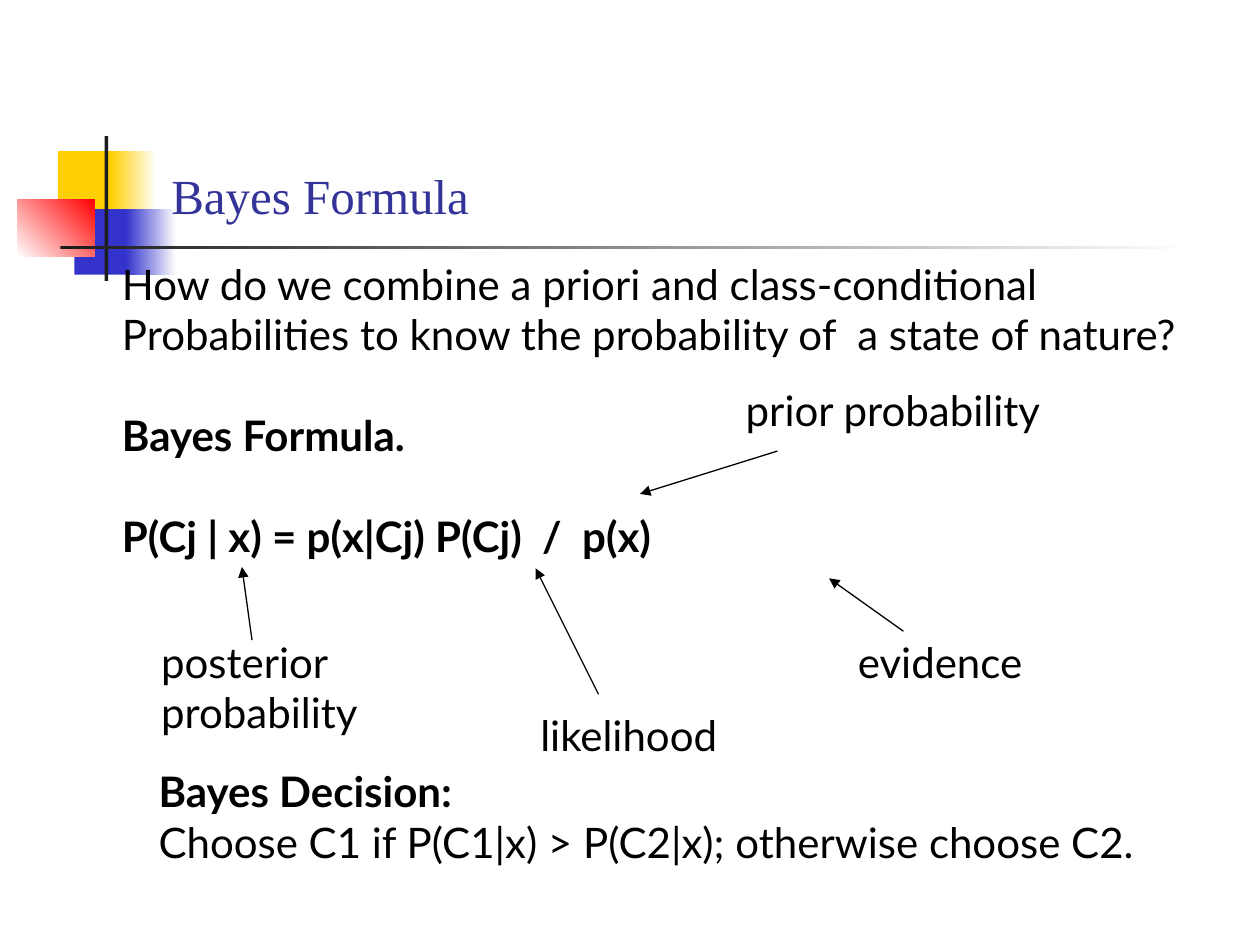
import pptx
import pptx.util
import pptx.dml.color
import pptx.enum.shapes
import pptx.enum.text
import pptx.oxml.ns
from lxml import etree

Inches, Pt = pptx.util.Inches, pptx.util.Pt
W, H = 10, 7.5
SIZE = 24
LINE = 1.2 * SIZE  # one line of body text, in points
COLORS = {"yellow": "FFCF01", "blue": "3333CC", "red": "FF0000",
          "dark": "1C1C1C", "white": "FFFFFF", "title": "333399",
          "text": "000000"}

# left, top, width, height, colours from start to end, gradient angle
DECOR = [
    (0.46, 1.2, 0.48, 0.52, ["yellow"], 0),
    (0.88, 1.2, 0.36, 0.52, ["yellow", "white"], 0),
    (0.59, 1.66, 0.46, 0.52, ["blue"], 0),
    (1, 1.66, 0.4, 0.52, ["blue", "white"], 0),
    (0.14, 1.58, 0.61, 0.46, ["white", "red"], 45),
    (0.83, 1.08, 0.03, 1.15, ["dark"], 0),
    (0.48, 1.95, 9, 0.03, ["dark", "white"], 0),
]

# left, top, width, height, paragraphs of (text, bold, space before)
TEXTS = [
    (0.87, 2, 9.17, 2.5, [
        ("How do we combine a priori and class-conditional", False, 0),
        ("Probabilities to know the probability of  a state of nature?", False, 0),
        ("Bayes Formula.", True, LINE),
        ("P(Cj | x) = p(x|Cj) P(Cj)  /  p(x)", True, LINE)]),
    (1.18, 5, 1.89, 0.9, [("posterior", False, 0), ("probability", False, 0)]),
    (4.19, 5.58, 1.72, 0.5, [("likelihood", False, 0)]),
    (6.71, 5, 1.59, 0.5, [("evidence", False, 0)]),
    (5.82, 3, 2.74, 0.5, [("prior probability", False, 0)]),
    (1.16, 6.03, 8.51, 0.9, [
        ("Bayes Decision:", True, 0),
        ("Choose C1 if P(C1|x) > P(C2|x); otherwise choose C2.", False, 0)]),
]

# label end, formula end
ARROWS = [((2, 5.08), (1.92, 4.5)), ((4.75, 5.51), (4.25, 4.51)),
          ((7.17, 5.01), (6.58, 4.59)), ((6.17, 3.58), (5.08, 3.92))]


def rgb(name):
    return pptx.dml.color.RGBColor.from_string(COLORS[name])


def format_run(r, color, **values):
    for key, value in values.items():
        setattr(r.font, key, value)
    r.font.color.rgb = rgb(color)


def add_block(s, x, y, w, h, colors, angle):
    sp = s.shapes.add_shape(pptx.enum.shapes.MSO_SHAPE.RECTANGLE,
                            *map(Inches, (x, y, w, h)))
    sp.shadow.inherit = False
    sp.line.fill.background()
    if len(colors) == 1:
        sp.fill.solid()
        sp.fill.fore_color.rgb = rgb(colors[0])
        return
    sp.fill.gradient()
    sp.fill.gradient_angle = angle
    for stop, color in zip(sp.fill.gradient_stops, colors):
        stop.color.rgb = rgb(color)


def set_title(s, text):
    sp = s.shapes.title
    sp.left, sp.top, sp.width, sp.height = map(Inches, (1.26, 0.23, 8.52, 1.6))
    # Bring the title in front of the decoration
    sp.element.getparent().append(sp.element)
    tf = sp.text_frame
    tf.vertical_anchor = pptx.enum.text.MSO_ANCHOR.BOTTOM
    p = tf.paragraphs[0]
    p.alignment = pptx.enum.text.PP_ALIGN.LEFT
    r = p.add_run()
    r.text = text
    format_run(r, "title", name="Times New Roman", size=Pt(28))


def add_text(s, x, y, w, h, paragraphs):
    tf = s.shapes.add_textbox(*map(Inches, (x, y, w, h))).text_frame
    tf.word_wrap = True
    for i, (text, bold, space) in enumerate(paragraphs):
        p = tf.add_paragraph() if i else tf.paragraphs[0]
        p.space_before = Pt(space)
        r = p.add_run()
        r.text = text
        format_run(r, "text", name="Lato", size=Pt(SIZE), bold=bold)


def add_arrow(s, start, end):
    line = s.shapes.add_connector(pptx.enum.shapes.MSO_CONNECTOR.STRAIGHT,
                                  *map(Inches, start + end))
    line.line.width = Pt(0.75)
    line.line.color.rgb = rgb("text")
    qn = pptx.oxml.ns.qn
    sppr = line.element.find(qn("p:spPr"))
    etree.SubElement(sppr.find(qn("a:ln")), qn("a:tailEnd"), type="triangle")
    etree.SubElement(sppr, qn("a:effectLst"))


def main():
    prs = pptx.Presentation()
    prs.slide_width, prs.slide_height = Inches(W), Inches(H)
    s = prs.slides.add_slide(prs.slide_layouts.get_by_name("Title Only"))

    # Decoration and title
    for block in DECOR:
        add_block(s, *block)
    set_title(s, "Bayes Formula")

    # Formula, its labels and the decision rule
    for text in TEXTS:
        add_text(s, *text)
    for arrow in ARROWS:
        add_arrow(s, *arrow)

    prs.save("out.pptx")


if __name__ == "__main__":
    main()
